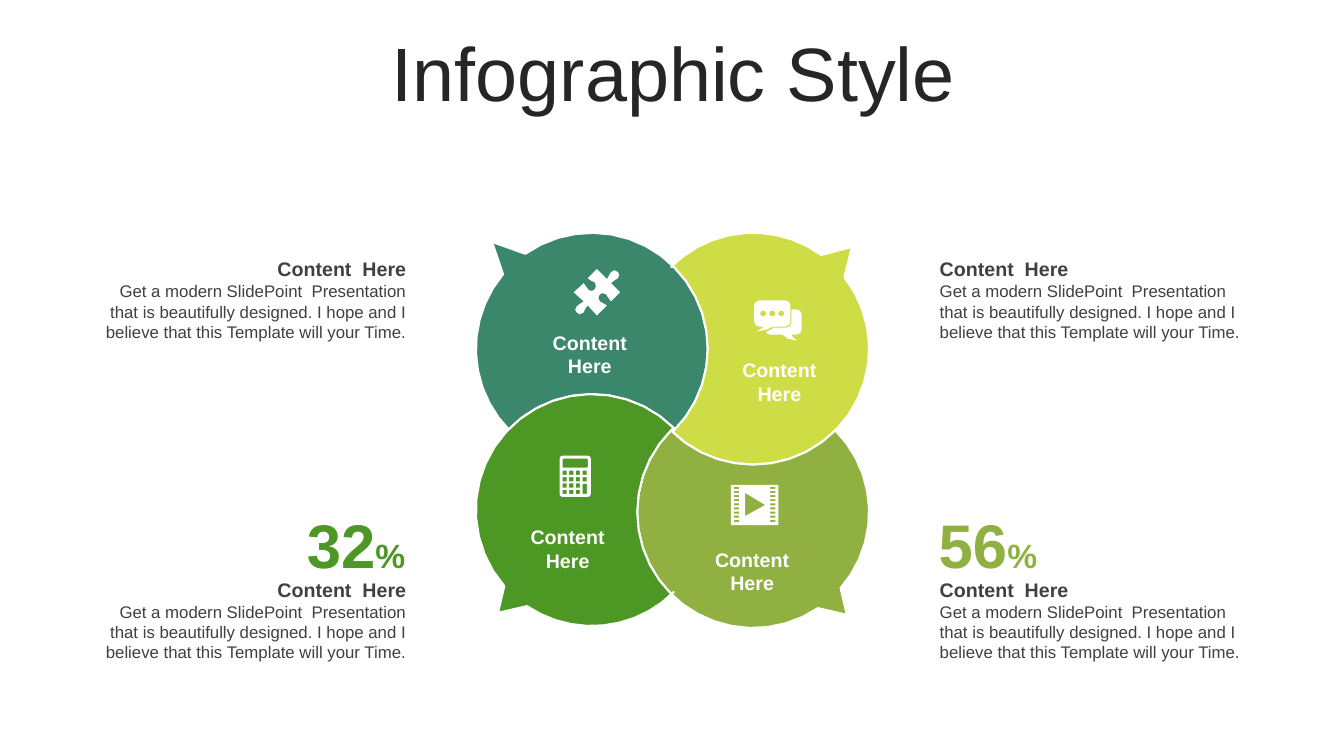
from math import cos, sin, radians
from pptx import Presentation
from pptx.dml.color import RGBColor as Rgb
from pptx.enum.text import MSO_ANCHOR as Anchor, PP_ALIGN as Align
from pptx.util import Inches, Pt

WIDE, HIGH = 13.33, 7.5
HUES = {
    "white": "FFFFFF", "title": "262626", "text": "404040",
    "teal": "3A876B", "lime": "CEDD46", "olive": "90B141", "green": "4D9724",
}
TITLE = "Infographic Style"
HEAD = "Content  Here"
BODY = ("Get a modern SlidePoint  Presentation that is beautifully designed. "
        "I hope and I believe that this Template will your Time.")
LABEL = ["Content", "Here"]

RADIUS = 1.15
PETALS = [
    {"hue": "teal", "mid": (5.87, 3.46), "tail": (220, 235), "tip": (4.88, 2.4), "label": (5.85, 3.51)},
    {"hue": "lime", "mid": (7.47, 3.46), "tail": (306, 322), "tip": (8.45, 2.45), "label": (7.73, 3.78)},
    {"hue": "olive", "mid": (7.47, 5.08), "tail": (401, 416), "tip": (8.4, 6.1), "label": (7.46, 5.66)},
    {"hue": "green", "mid": (5.87, 5.06), "tail": (484, 499), "tip": (4.94, 6.08), "label": (5.63, 5.44)},
]
SIDES = [
    {"left": 1.03, "width": 3, "align": Align.RIGHT, "pad": (0, 0.05, 0, 0.05),
     "rate": "32", "hue": "green", "spot": 2.87},
    {"left": 9.32, "width": 3.09, "align": Align.LEFT, "pad": (0, 0.05, 0.1, 0.05),
     "rate": "56", "hue": "olive", "spot": 9.31},
]
ROWS = [2.5, 5.68]
PUZZLE = """M 6.13 2.7 C 6.14 2.71 6.15 2.74 6.13 2.76 C 6.11 2.79 6.08 2.77 6.06 2.81 L 6.15 2.9
L 6.06 2.99 C 6.03 2.97 6.04 2.94 6.01 2.92 C 5.99 2.9 5.96 2.91 5.95 2.92
C 5.93 2.94 5.93 2.97 5.95 2.99 C 5.98 3.02 5.99 3 6.02 3.03 L 5.92 3.13 L 5.83 3.03
C 5.79 3.06 5.81 3.07 5.79 3.1 C 5.76 3.13 5.73 3.12 5.72 3.1 C 5.7 3.09 5.7 3.06 5.72 3.04
C 5.74 3.01 5.76 3.02 5.79 2.99 L 5.69 2.9 L 5.79 2.81 C 5.82 2.83 5.81 2.86 5.84 2.88
C 5.86 2.89 5.89 2.89 5.9 2.87 C 5.91 2.86 5.92 2.83 5.9 2.8 C 5.87 2.78 5.86 2.8 5.83 2.76
L 5.92 2.67 L 6.02 2.77 C 6.05 2.74 6.03 2.73 6.06 2.7 C 6.08 2.67 6.11 2.68 6.13 2.7"""
CHAT = """M 7.85 3.07 L 7.9 3.07 C 7.93 3.07 7.95 3.09 7.95 3.12 L 7.95 3.27
C 7.95 3.3 7.93 3.32 7.9 3.32 L 7.85 3.32 C 7.86 3.34 7.86 3.35 7.91 3.38
C 7.82 3.37 7.8 3.36 7.76 3.32 L 7.64 3.32 C 7.62 3.32 7.6 3.31 7.6 3.29
C 7.63 3.28 7.65 3.27 7.68 3.25 L 7.8 3.25 C 7.83 3.25 7.85 3.23 7.85 3.2
M 7.53 2.98 L 7.79 2.98 C 7.82 2.98 7.84 3.01 7.84 3.03 L 7.84 3.19
C 7.84 3.22 7.82 3.24 7.79 3.24 L 7.67 3.24 C 7.61 3.27 7.59 3.28 7.5 3.29
C 7.55 3.26 7.56 3.26 7.58 3.24 L 7.53 3.24 C 7.5 3.24 7.48 3.22 7.48 3.19
L 7.48 3.03 C 7.48 3.01 7.5 2.98 7.53 2.98"""


def arc(mid, size, start, end, steps):
    turns = [radians(start + (end - start) * i / steps) for i in range(steps + 1)]
    return [(mid[0] + size * cos(t), mid[1] + size * sin(t)) for t in turns]


def block(left, top, width, height, curve=0):
    right, base = left + width, top + height
    if not curve:
        return [(left, top), (right, top), (right, base), (left, base)]
    mids = [(right - curve, base - curve), (left + curve, base - curve),
            (left + curve, top + curve), (right - curve, top + curve)]
    return [p for i, mid in enumerate(mids) for p in arc(mid, curve, 90 * i, 90 * i + 90, 2)]


def trace(text):
    loops = []
    for part in text.replace("\n", " ").split("M ")[1:]:
        words = part.replace("C", "|C").replace("L", "|L").split("|")
        loop = [tuple(map(float, words[0].split()))]
        for word in words[1:]:
            nums = list(map(float, word[1:].split()))
            spots = list(zip(nums[::2], nums[1::2]))
            if word[0] == "L":
                loop += spots
                continue
            knots = [loop[-1]] + spots
            for t in (0.5, 1):
                loads = ((1 - t) ** 3, 3 * t * (1 - t) ** 2, 3 * t * t * (1 - t), t ** 3)
                loop.append(tuple(sum(w * k[axis] for w, k in zip(loads, knots)) for axis in (0, 1)))
        loops.append(loop)
    return loops


def draw(slide, loops, hue, edge=None):
    loops = [[(Inches(x), Inches(y)) for x, y in loop] for loop in loops]
    pen = slide.shapes.build_freeform(*loops[0][0])
    for i, loop in enumerate(loops):
        if i:
            pen.move_to(*loop[0])
        pen.add_line_segments(loop[1:], close=True)
    shape = pen.convert_to_shape()
    shape.shadow.inherit = False
    shape.fill.solid()
    shape.fill.fore_color.rgb = Rgb.from_string(HUES[hue])
    if edge:
        shape.line.color.rgb = Rgb.from_string(HUES[edge])
        shape.line.width = Pt(1.5)
    else:
        shape.line.fill.background()


def write(box, lines, hue, align, pad=(0.1, 0.05, 0.1, 0.05), anchor=Anchor.MIDDLE, bold=False, **extra):
    frame = box.text_frame
    sides = ("margin_left", "margin_top", "margin_right", "margin_bottom")
    look = {"word_wrap": True, "vertical_anchor": anchor, **dict(zip(sides, map(Inches, pad)))}
    for key, val in look.items():
        setattr(frame, key, val)
    for i, line in enumerate(lines):
        para = frame.add_paragraph() if i else frame.paragraphs[0]
        for key, val in {"alignment": align, "space_before": Pt(0), **extra}.items():
            setattr(para, key, val)
        for text, size in line:
            run = para.add_run()
            run.text = text
            for key, val in {"name": "Arial", "size": Pt(size), "bold": bold}.items():
                setattr(run.font, key, val)
            run.font.color.rgb = Rgb.from_string(HUES[hue])


def place(slide, *spot):
    return slide.shapes.add_textbox(*map(Inches, spot))


def main():
    deck = Presentation()
    deck.slide_width, deck.slide_height = Inches(WIDE), Inches(HIGH)
    slide = deck.slides.add_slide(deck.slide_layouts[5])
    title = slide.shapes.title
    for key, val in zip(("left", "top", "width", "height"), (0.35, 0.37, 12.66, 0.79)):
        setattr(title, key, Inches(val))
    write(title, [[(TITLE, 54)]], "title", Align.CENTER, line_spacing=0.9)

    for i, petal in enumerate(PETALS):
        mid, (start, end), turn = petal["mid"], petal["tail"], 90 * i
        loop = arc(mid, RADIUS, end - 360, turn + 45, 19)
        loop += arc(PETALS[i - 1]["mid"], RADIUS, turn - 45, turn - 135, 10)
        loop += arc(mid, RADIUS, turn + 135, start, 10)
        draw(slide, [loop + [petal["tip"]]], petal["hue"], "white")
    for petal in PETALS:
        x, y = petal["label"]
        write(place(slide, x - 0.76, y - 0.28, 1.52, 0.57),
              [[(word, 14)] for word in LABEL], "white", Align.CENTER, bold=True)

    for side in SIDES:
        left, width, align, pad = (side[key] for key in ("left", "width", "align", "pad"))
        for top in ROWS:
            write(place(slide, left, top, width, 0.34), [[(HEAD, 14)]], "text", align, pad, bold=True)
            write(place(slide, left, top + 0.24, width, 0.71), [[(BODY, 12)]], "text", align, pad, Anchor.TOP)
        write(place(slide, side["spot"], 5.03, 1.15, 0.74),
              [[(side["rate"], 44), ("%", 24)]], side["hue"], align, (0, 0, 0, 0), bold=True)

    keys = [block(5.58 + 0.066 * col, 4.67 + 0.063 * row, 0.04, 0.042)
            for col in range(4) for row in range(4) if col < 3 or row < 2]
    keys.append(block(5.78, 4.8, 0.04, 0.1))
    draw(slide, [block(5.55, 4.52, 0.31, 0.41, 0.03), block(5.58, 4.55, 0.25, 0.09, 0.01)] + keys, "white")
    draw(slide, trace(PUZZLE), "white")
    dots = [arc((7.57 + 0.09 * i, 3.11), 0.03, 0, 360, 8) for i in range(3)]
    draw(slide, trace(CHAT) + dots, "white")
    holes = [block(x, 4.83 + 0.041 * i, 0.05, 0.02) for x in (7.28, 7.64) for i in range(9)]
    play = [(7.39, 4.89), (7.39, 5.12), (7.59, 5.01)]
    draw(slide, [block(7.25, 4.81, 0.47, 0.4), play] + holes, "white")
    deck.save("out.pptx")


if __name__ == "__main__":
    main()
